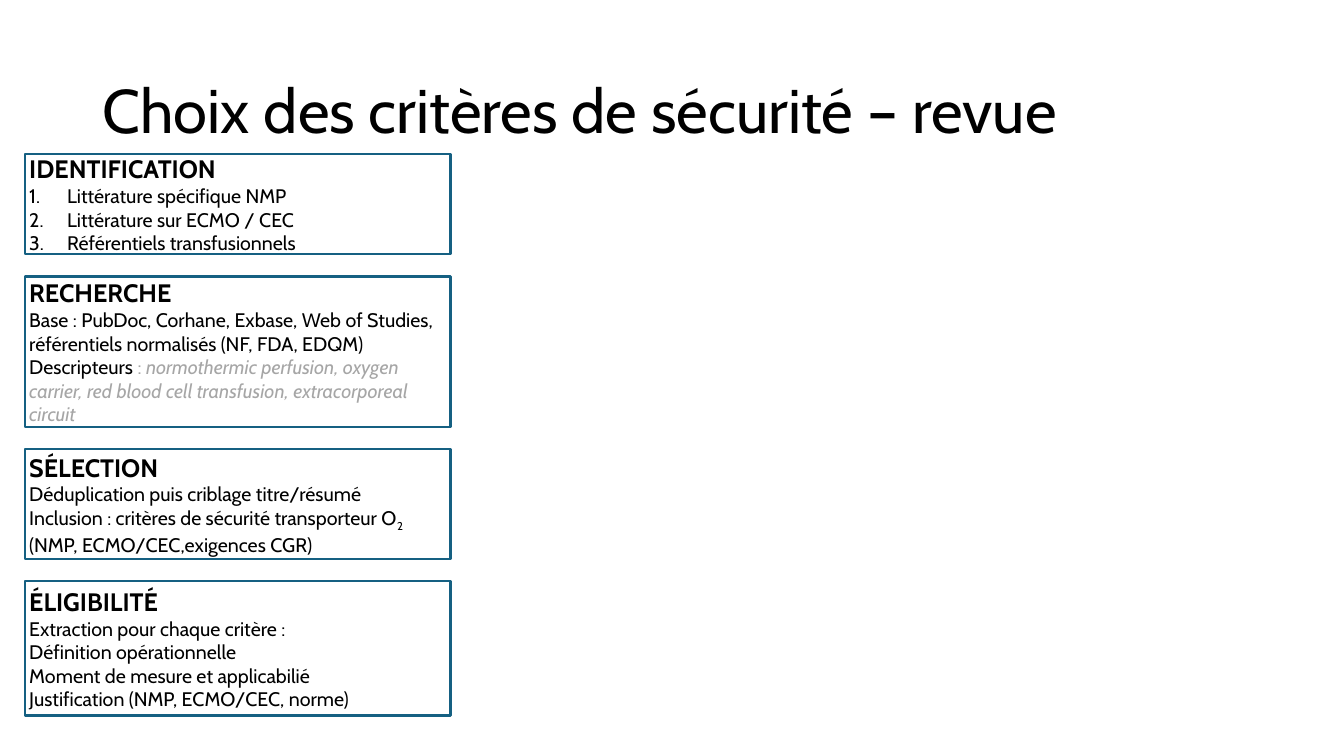
from pptx import Presentation
from pptx.dml.color import RGBColor
from pptx.enum.shapes import MSO_SHAPE
from pptx.enum.text import MSO_ANCHOR, PP_ALIGN
from pptx.oxml.xmlchemy import OxmlElement
from pptx.util import Pt

BLACK = RGBColor(0x00, 0x00, 0x00)
WHITE = RGBColor(0xFF, 0xFF, 0xFF)
GREY = RGBColor(0xA6, 0xA6, 0xA6)
BLUE = RGBColor(0x15, 0x60, 0x82)


class ReviewSlide:
    font = "Cabin"
    title_size, heading_size, body_size = 44, 18, 14
    inset = 2.9
    number_indent = 27

    def __init__(self, page):
        self.page = page

    def add_span(self, para, text, size, color=BLACK, bold=False,
                 italic=False, subscript=False):
        span = para.add_run()
        span.text = text
        span.font.name = self.font
        span.font.size = Pt(size)
        span.font.color.rgb = color
        span.font.bold = bold
        span.font.italic = italic
        if subscript:
            span.font._element.set("baseline", "-25000")

    def number(self, para):
        properties = para._p.get_or_add_pPr()
        properties.set("marL", str(Pt(self.number_indent)))
        properties.set("indent", str(-Pt(self.number_indent)))
        numbering = OxmlElement("a:buAutoNum")
        numbering.set("type", "arabicPeriod")
        properties.append(numbering)

    def title(self, text, left, top, width, height):
        box = self.page.shapes.add_textbox(Pt(left), Pt(top), Pt(width), Pt(height))
        frame = box.text_frame
        frame.word_wrap = True
        frame.vertical_anchor = MSO_ANCHOR.MIDDLE
        para = frame.paragraphs[0]
        para.line_spacing = 0.9
        self.add_span(para, text, self.title_size)

    def step(self, heading, lines, left, top, width, height, numbered=False):
        box = self.page.shapes.add_shape(
            MSO_SHAPE.RECTANGLE, Pt(left), Pt(top), Pt(width), Pt(height))
        box.shadow.inherit = False
        box.fill.solid()
        box.fill.fore_color.rgb = WHITE
        box.line.color.rgb = BLUE
        box.line.width = Pt(1.5)

        frame = box.text_frame
        frame.word_wrap = True
        frame.vertical_anchor = MSO_ANCHOR.MIDDLE
        frame.margin_left = frame.margin_right = Pt(self.inset)
        frame.margin_top = frame.margin_bottom = Pt(self.inset)

        para = frame.paragraphs[0]
        para.alignment = PP_ALIGN.LEFT
        self.add_span(para, heading, self.heading_size, bold=True)
        for spans in lines:
            para = frame.add_paragraph()
            para.alignment = PP_ALIGN.LEFT
            if numbered:
                self.number(para)
            for text, style in spans:
                self.add_span(para, text, self.body_size, **style)


def plain(text):
    return [(text, {})]


# Each step: heading, box height, numbered list or not, lines of spans
STEPS = [
    ("IDENTIFICATION", 71.3, True, [
        plain("Littérature spécifique NMP"),
        plain("Littérature sur ECMO / CEC"),
        plain("Référentiels transfusionnels"),
    ]),
    ("RECHERCHE", 107.3, False, [
        plain("Base : PubDoc, Corhane, Exbase, Web of Studies, "
              "référentiels normalisés (NF, FDA, EDQM)"),
        [("Descripteurs", {}),
         (" : ", {"color": GREY}),
         ("normothermic perfusion, oxygen carrier, red blood cell "
          "transfusion, extracorporeal circuit", {"color": GREY, "italic": True})],
    ]),
    ("SÉLECTION", 78.5, False, [
        plain("Déduplication puis criblage titre/résumé"),
        [("Inclusion : critères de sécurité transporteur O", {}),
         ("2 ", {"subscript": True}),
         ("(NMP, ECMO/CEC,exigences CGR)", {})],
    ]),
    ("ÉLIGIBILITÉ", 95.8, False, [
        plain("Extraction pour chaque critère :"),
        plain("Définition opérationnelle"),
        plain("Moment de mesure et applicabilié"),
        plain("Justification (NMP, ECMO/CEC, norme)"),
    ]),
]
STEP_LEFT, STEP_TOP, STEP_WIDTH, STEP_GAP = 18, 110.2, 303.8, 16


def main():
    deck = Presentation()
    deck.slide_width, deck.slide_height = Pt(960), Pt(540)
    slide = ReviewSlide(deck.slides.add_slide(deck.slide_layouts[6]))

    # Title
    slide.title("Choix des critères de sécurité – revue", 66.2, 28.8, 828, 104.4)

    # Review steps, stacked with equal gaps
    top = STEP_TOP
    for heading, height, numbered, lines in STEPS:
        slide.step(heading, lines, STEP_LEFT, top, STEP_WIDTH, height, numbered)
        top += height + STEP_GAP

    deck.save("out.pptx")


if __name__ == "__main__":
    main()
